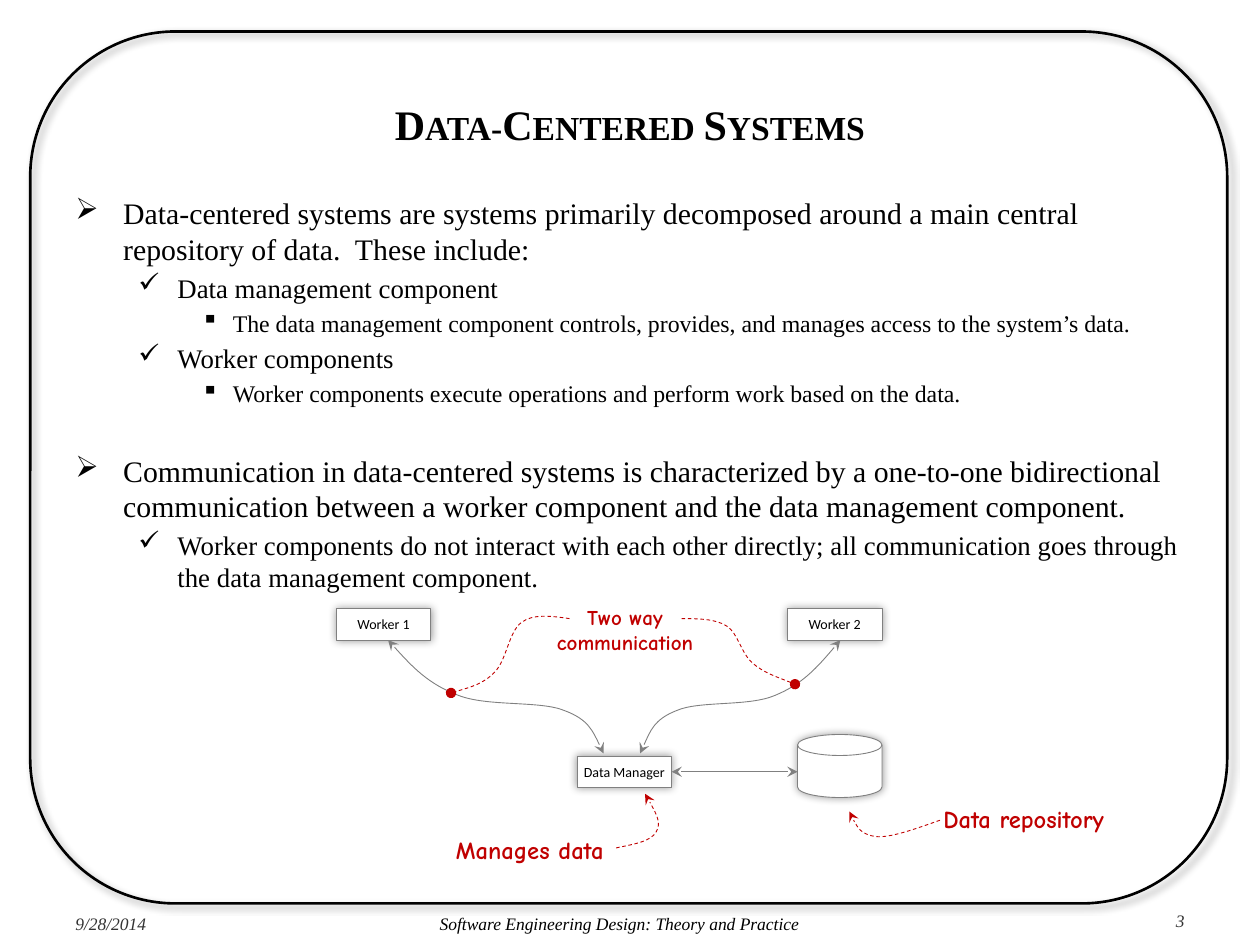
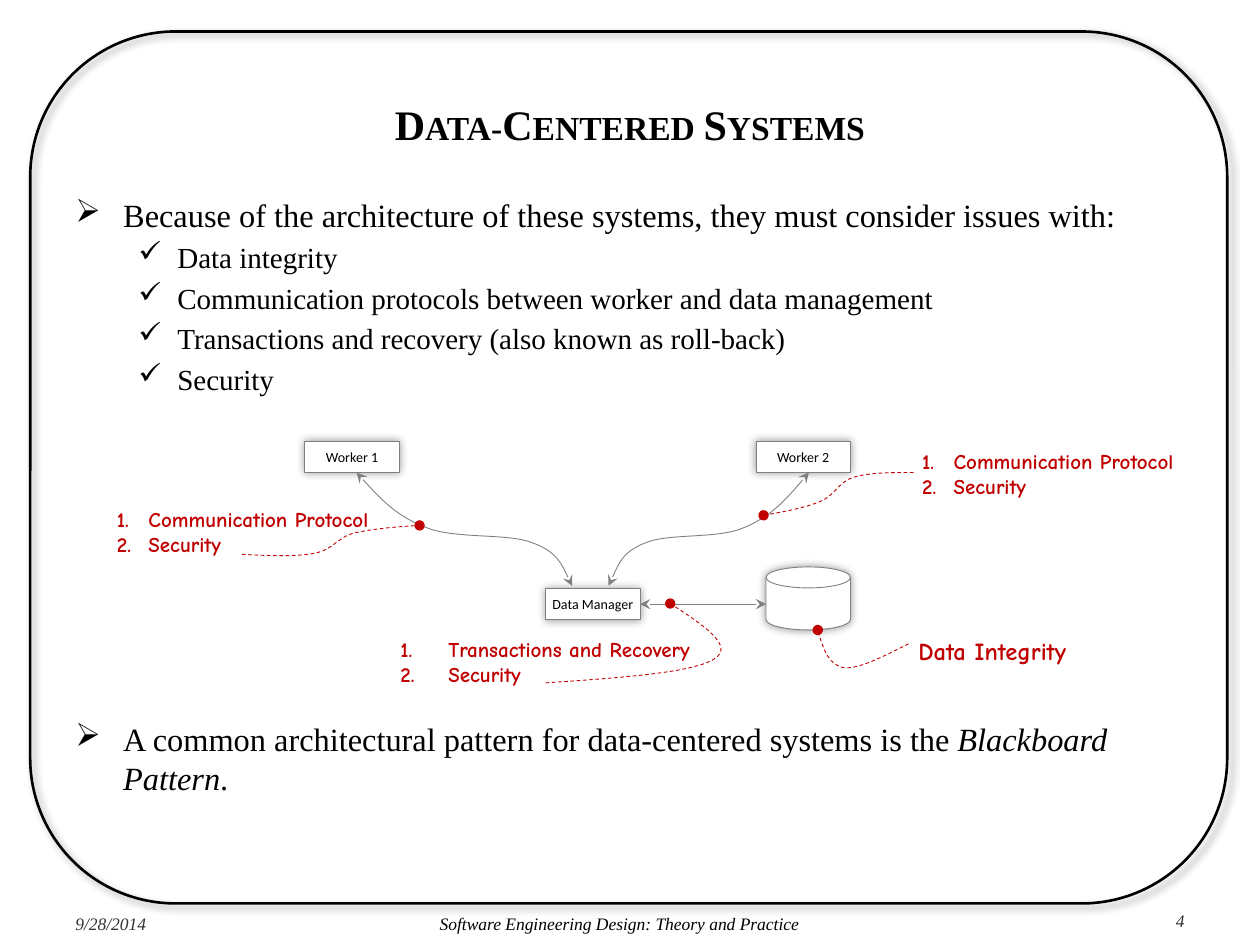
from lxml.etree import SubElement
from pptx import Presentation
from pptx.dml.color import RGBColor
from pptx.enum.dml import MSO_LINE
from pptx.enum.shapes import MSO_CONNECTOR, MSO_SHAPE
from pptx.enum.text import MSO_ANCHOR, PP_ALIGN
from pptx.oxml.ns import qn
from pptx.util import Emu, Inches, Pt

BLACK = RGBColor(0x00, 0x00, 0x00)
WHITE = RGBColor(0xFF, 0xFF, 0xFF)
DARK_GRAY = RGBColor(0x33, 0x33, 0x33)
GRAY = RGBColor(0x80, 0x80, 0x80)
RED = RGBColor(0xC0, 0x00, 0x00)

SERIF = "Times New Roman"
SANS = "Calibri"
COMIC = "Comic Neue"

TITLE = "Data-Centered Systems"
DATE = "9/28/2014"
BOOK = "Software Engineering Design: Theory and Practice"

BULLETS = [("➢", 0.38, 0.38), ("✓", 0.81, 0.31), ("▪", 1.25, 0.25)]
LINE_PITCH = 1.195
SPACE_SHARE = 0.2

LEFT_LINK = [(0.41, 0.25), (0.57, 0.43), (0.73, 0.6), (0.97, 0.69), (1.2, 0.78),
             (1.62, 0.73), (1.81, 0.81), (2.0, 0.88), (2.06, 1.02), (2.12, 1.15)]
RIGHT_LINK = [(4.0, 0.25), (3.85, 0.43), (3.7, 0.6), (3.48, 0.69), (3.27, 0.78),
              (2.88, 0.73), (2.7, 0.81), (2.52, 0.88), (2.47, 1.02), (2.41, 1.15)]


def add_shadow(shape, blur, distance=0, angle=0):
    shape.shadow.inherit = False
    effects = shape._element.spPr.find(qn("a:effectLst"))
    shadow = SubElement(effects, qn("a:outerShdw"), blurRad=str(Pt(blur)),
                        dist=str(Pt(distance)), dir=str(angle * 60000),
                        algn="ctr", rotWithShape="0")
    color = SubElement(shadow, qn("a:srgbClr"), val=str(BLACK))
    SubElement(color, qn("a:alpha"), val="40000")


def style_line(shape, color, head=None, tail=None, dashed=False):
    shape.line.color.rgb = color
    shape.line.width = Pt(0.5)
    if dashed:
        shape.line.dash_style = MSO_LINE.DASH
    outline = shape.line._get_or_add_ln()
    for tag, kind in (("a:headEnd", head), ("a:tailEnd", tail)):
        if kind:
            SubElement(outline, qn(tag), type=kind)


def style_font(para, size, name, color, bold=None, italic=None):
    font = para.font
    font.size, font.name = Pt(size), name
    font.bold, font.italic = bold, italic
    font.color.rgb = color


def set_bullet(para, tag, margin, hanging, **attributes):
    properties = para._p.get_or_add_pPr()
    properties.set("marL", str(Inches(margin)))
    properties.set("indent", str(-Inches(hanging)))
    SubElement(properties, qn(tag), **attributes)


def add_box(page, left, top, width, height):
    box = page.shapes.add_textbox(Inches(left), Inches(top), Inches(width), Inches(height))
    box.text_frame.word_wrap = True
    return box.text_frame


def add_text(page, left, top, width, height, text, align, **style):
    para = add_box(page, left, top, width, height).paragraphs[0]
    para.text = text
    para.alignment = align
    style_font(para, **style)


def add_frame(page):
    frame = page.shapes.add_shape(MSO_SHAPE.ROUNDED_RECTANGLE, Inches(0.24), Inches(0.25),
                                  Inches(9.5), Inches(6.92))
    frame.fill.background()
    frame.line.color.rgb = BLACK
    frame.line.width = Pt(1.5)
    add_shadow(frame, 4, 3, 45)


def add_title(page):
    text = add_box(page, 0.5, 0.55, 9, 0.87)
    text.vertical_anchor = MSO_ANCHOR.MIDDLE
    para = text.paragraphs[0]
    para.alignment = PP_ALIGN.CENTER
    span = para.add_run()
    span.text = TITLE
    span._r.get_or_add_rPr().set("cap", "small")
    style_font(para, 24, SERIF, BLACK, bold=True)


def add_footer(page, number):
    style = dict(size=10, name=SERIF, italic=True)
    add_text(page, 0.5, 7.2, 1.08, 0.3, DATE, PP_ALIGN.LEFT, color=DARK_GRAY, **style)
    add_text(page, 1.58, 7.2, 6.67, 0.3, BOOK, PP_ALIGN.CENTER, color=BLACK, **style)
    add_text(page, 8.25, 7.17, 1.25, 0.33, str(number), PP_ALIGN.RIGHT,
             color=DARK_GRAY, **style)


def start_page(deck, number):
    page = deck.slides.add_slide(deck.slide_layouts[6])
    add_frame(page)
    add_title(page)
    add_footer(page, number)
    return page


def add_outline(page, height, sizes, items, wide_gaps):
    text = add_box(page, 0.5, 1.5, 9, height)
    for index, (level, *parts) in enumerate(items):
        para = text.paragraphs[0] if index == 0 else text.add_paragraph()
        para.level = level
        size = sizes[level]
        mark, margin, hanging = BULLETS[level]
        set_bullet(para, "a:buChar", margin, hanging, char=mark)
        para.line_spacing = Pt(size * LINE_PITCH)
        if index:
            para.space_before = Pt(wide_gaps.get(index, size * SPACE_SHARE))
        for position, part in enumerate(parts):
            span = para.add_run()
            span.text = part
            if position == 1:
                span.font.italic = True
        style_font(para, size, SERIF, BLACK)


def add_curve(page, points, color=RED, head=None, tail="stealth", dashed=True):
    corners = [(Inches(x), Inches(y)) for x, y in points]
    builder = page.shapes.build_freeform(*corners[0])
    builder.add_line_segments(corners[1:], close=False)
    curve = builder.convert_to_shape()
    segments = list(curve._element.iter(qn("a:lnTo")))
    for start in range(0, len(segments), 3):
        bend = SubElement(segments[start].getparent(), qn("a:cubicBezTo"))
        for segment in segments[start:start + 3]:
            bend.append(segment[0])
            segment.getparent().remove(segment)
    curve.fill.background()
    curve.shadow.inherit = False
    style_line(curve, color, head, tail, dashed)


def add_node(page, kind, left, top, width, height, label=""):
    node = page.shapes.add_shape(kind, Inches(left), Inches(top), Inches(width), Inches(height))
    node.fill.solid()
    node.fill.fore_color.rgb = WHITE
    style_line(node, GRAY)
    add_shadow(node, 5)
    if label:
        text = node.text_frame
        text.word_wrap = False
        text.margin_left = text.margin_right = text.margin_top = text.margin_bottom = Emu(0)
        para = text.paragraphs[0]
        para.text = label
        para.alignment = PP_ALIGN.CENTER
        style_font(para, 8, SANS, BLACK)
    return node


def add_architecture(page, left, top):
    for label, offset in (("Worker 1", 0), ("Worker 2", 3.58)):
        add_node(page, MSO_SHAPE.RECTANGLE, left + offset, top, 0.75, 0.25, label)
    add_node(page, MSO_SHAPE.FLOWCHART_MAGNETIC_DISK, left + 3.66, top + 1, 0.67, 0.5)
    manager = add_node(page, MSO_SHAPE.RECTANGLE, left + 1.91, top + 1.17, 0.75, 0.25,
                       "Data Manager")
    middle = manager.top + manager.height // 2
    link = page.shapes.add_connector(MSO_CONNECTOR.STRAIGHT, manager.left + manager.width,
                                     middle, Inches(left + 3.66), middle)
    link.begin_connect(manager, 3)
    style_line(link, GRAY, "stealth", "stealth")
    SubElement(link._element.spPr, qn("a:effectLst"))
    for points in (LEFT_LINK, RIGHT_LINK):
        add_curve(page, [(left + x, top + y) for x, y in points], GRAY,
                  head="stealth", dashed=False)


def add_note(page, left, top, width, height, text, size=14):
    add_text(page, left, top, width, height, text, PP_ALIGN.CENTER,
             size=size, name=COMIC, color=RED, bold=True)


def add_numbered_note(page, left, top, width, height, indent, lines):
    text = add_box(page, left, top, width, height)
    for index, line in enumerate(lines):
        para = text.paragraphs[0] if index == 0 else text.add_paragraph()
        para.text = line
        set_bullet(para, "a:buAutoNum", indent, indent, type="arabicPeriod")
        style_font(para, 12, COMIC, RED, bold=True)


def build_overview(deck):
    page = start_page(deck, 3)
    add_outline(page, 3.42, (17, 15.3, 13.6), [
        (0, "Data-centered systems are systems primarily decomposed around a main central "
            "repository of data.  These include:"),
        (1, "Data management component"),
        (2, "The data management component controls, provides, and manages access to the "
            "system’s data."),
        (1, "Worker components"),
        (2, "Worker components execute operations and perform work based on the data."),
        (0, "Communication in data-centered systems is characterized by a one-to-one "
            "bidirectional communication between a worker component and the data "
            "management component."),
        (1, "Worker components do not interact with each other directly; all communication "
            "goes through the data management component."),
    ], {5: 26})
    add_architecture(page, 2.67, 4.83)
    add_note(page, 4.17, 4.75, 1.58, 0.5, "Two way communication", 12)
    add_note(page, 7.25, 6.33, 1.75, 0.34, "Data repository")
    add_note(page, 3.33, 6.58, 1.75, 0.34, "Manages data")
    add_curve(page, [(7.46, 6.51), (7.26, 6.58), (7.07, 6.65), (6.95, 6.64),
                     (6.83, 6.62), (6.78, 6.53), (6.74, 6.44)])
    add_curve(page, [(4.89, 6.73), (5.03, 6.7), (5.17, 6.68), (5.21, 6.6),
                     (5.25, 6.53), (5.19, 6.42), (5.12, 6.3)])
    add_curve(page, [(4.52, 4.91), (4.38, 4.89), (4.23, 4.87), (4.14, 4.94), (4.04, 5.01),
                     (4.02, 5.24), (3.93, 5.33), (3.84, 5.43), (3.71, 5.46), (3.58, 5.5)],
              tail="oval")
    add_curve(page, [(5.41, 4.91), (5.54, 4.91), (5.68, 4.91), (5.77, 4.97), (5.86, 5.03),
                     (5.88, 5.18), (5.97, 5.26), (6.06, 5.34), (6.19, 5.38), (6.31, 5.43)],
              tail="oval")


def build_issues(deck):
    page = start_page(deck, 4)
    add_outline(page, 5.25, (18.5, 16.6), [
        (0, "Because of the architecture of these systems, they must consider issues with:"),
        (1, "Data integrity"),
        (1, "Communication protocols between worker and data management"),
        (1, "Transactions and recovery (also known as roll-back)"),
        (1, "Security"),
        (0, "A common architectural pattern for data-centered systems is the ",
         "Blackboard Pattern", "."),
    ], {5: 185})
    add_architecture(page, 2.42, 3.5)
    protocol = ["Communication Protocol", "Security"]
    add_numbered_note(page, 0.83, 3.97, 2.33, 0.71, 0.25, protocol)
    add_numbered_note(page, 7.22, 3.51, 2.33, 0.71, 0.25, protocol)
    add_numbered_note(page, 3.08, 5, 2.92, 0.5, 0.38,
                      ["Transactions and Recovery", "Security"])
    add_note(page, 7, 5, 1.75, 0.34, "Data Integrity")
    for points in (
        [(7.21, 5.11), (7.01, 5.21), (6.82, 5.31), (6.7, 5.3),
         (6.58, 5.28), (6.53, 5.14), (6.49, 5)],
        [(4.33, 5.42), (4.92, 5.38), (5.5, 5.34), (5.67, 5.23),
         (5.83, 5.13), (5.58, 4.96), (5.32, 4.79)],
        [(1.92, 4.4), (2.13, 4.41), (2.35, 4.42), (2.5, 4.39), (2.65, 4.36),
         (2.67, 4.27), (2.81, 4.23), (2.95, 4.2), (3.14, 4.18), (3.33, 4.17)],
        [(7.25, 3.75), (7.07, 3.75), (6.9, 3.75), (6.77, 3.79), (6.65, 3.83),
         (6.63, 3.93), (6.51, 3.98), (6.39, 4.03), (6.23, 4.06), (6.06, 4.09)],
    ):
        add_curve(page, points, tail="oval")


def main():
    deck = Presentation()
    deck.slide_width, deck.slide_height = Inches(10), Inches(7.5)
    build_overview(deck)
    build_issues(deck)
    deck.save("out.pptx")


if __name__ == "__main__":
    main()
